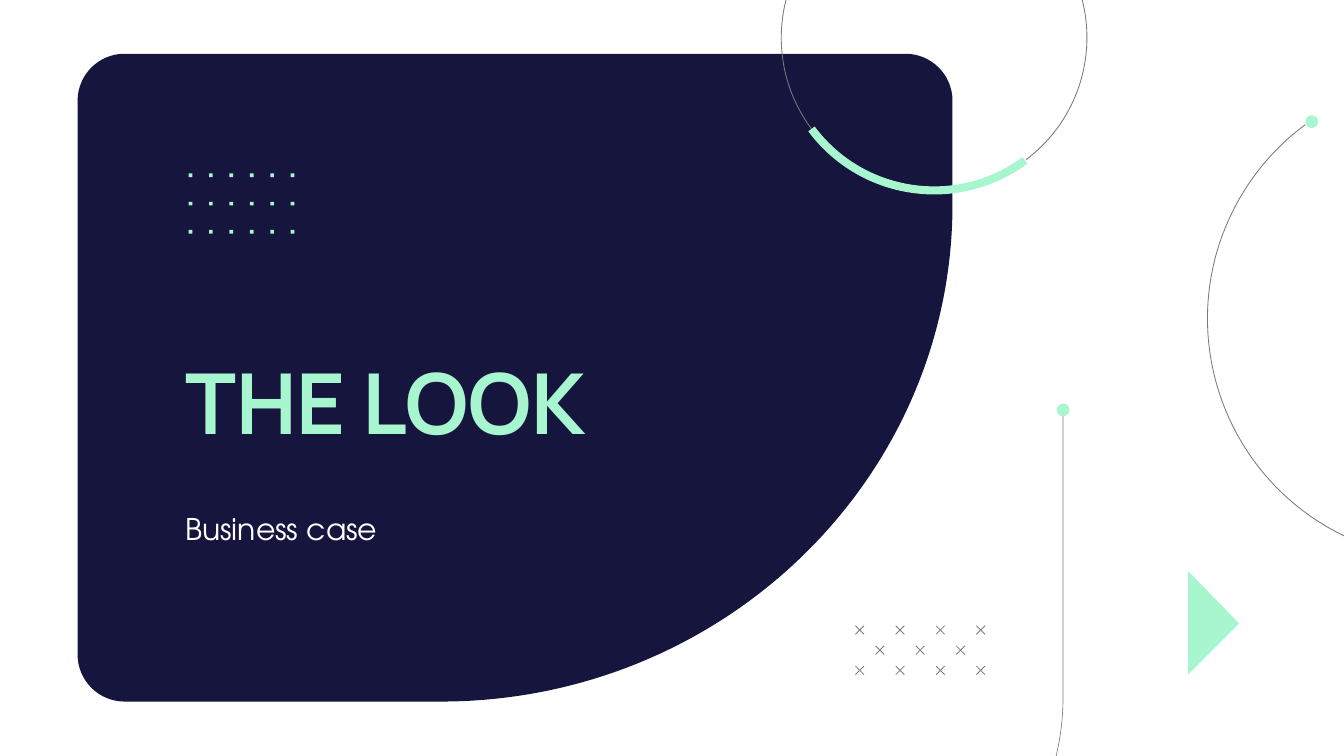
from dataclasses import dataclass
from itertools import chain, product
from math import ceil, cos, radians, sin, tan

from lxml.etree import SubElement
from pptx import Presentation
from pptx.dml.color import RGBColor
from pptx.enum.shapes import MSO_CONNECTOR as Link, MSO_SHAPE as Kind
from pptx.enum.text import MSO_ANCHOR as Anchor
from pptx.oxml.ns import qn
from pptx.util import Inches, Pt

CELL = Inches(0.1)  # grid unit: the slide is 100 columns wide
COLS, ROWS = 100, 56.25


@dataclass(frozen=True)
class Theme:
    navy: RGBColor = RGBColor.from_string("15153E")
    mint: RGBColor = RGBColor.from_string("A7F6CF")
    grey: RGBColor = RGBColor.from_string("7A7A7A")
    white: RGBColor = RGBColor.from_string("FFFFFF")
    head: str = "Manrope"
    body: str = "TeX Gyre Adventor"
    big: float = 45
    small: float = 16
    thin: float = 0.35
    fine: float = 0.44


LOOK = Theme()


def grid(*cells):
    return [round(n * CELL) for n in cells]


def apply(item, form):
    for name, value in form.items():
        setattr(item, name, value)


def line(*points):
    return [(p,) for p in points]


def arc(x, y, rx, ry, start, end):
    """A start point, then Bezier curves; degrees clockwise from the right."""
    count = ceil(abs(end - start) / 90)
    step = radians(end - start) / count
    pull = 4 / 3 * tan(step / 4)

    def spot(turn, lean=0):
        return (x + rx * (cos(turn) - lean * sin(turn)),
                y + ry * (sin(turn) + lean * cos(turn)))

    steps = line(spot(radians(start)))
    for i in range(count):
        a = radians(start) + i * step
        b = a + step
        steps.append((spot(a, pull), spot(b, -pull), spot(b)))
    return steps


def paint(shape, fill=None, edge=None, width=LOOK.fine):
    shape.shadow.inherit = False
    if fill is None:
        shape.fill.background()
    else:
        shape.fill.solid()
        shape.fill.fore_color.rgb = fill
    if edge is None:
        shape.line.fill.background()
    else:
        shape.line.color.rgb = edge
        shape.line.width = Pt(width)


def trace(slide, steps, close=False, **style):
    """Draw steps of one point as lines and steps of three as curves."""
    dots = [tuple(grid(*p)) for p in chain.from_iterable(steps)]
    pen = slide.shapes.build_freeform(*dots[0])
    pen.add_line_segments(dots[1:], close=close)
    shape = pen.convert_to_shape()
    parts = iter(list(shape._element.iter(qn("a:lnTo"))))
    for step in steps[1:]:
        nodes = [next(parts) for _ in step]
        if len(nodes) == 3:
            curve = nodes[0].getparent().makeelement(qn("a:cubicBezTo"))
            nodes[0].addprevious(curve)
            for node in nodes:
                curve.append(node[0])
                node.getparent().remove(node)
    paint(shape, **style)


def mark(slide, kind, x, y, size):
    """A small mint shape centred on a point."""
    box = grid(x - size / 2, y - size / 2, size, size)
    paint(slide.shapes.add_shape(kind, *box), fill=LOOK.mint)


def cross(slide, x, y, half=0.32):
    for tilt in (1, -1):
        ends = grid(x - half, y + tilt * half, x + half, y - tilt * half)
        bar = slide.shapes.add_connector(Link.STRAIGHT, *ends)
        bar.line.width = Pt(LOOK.fine)
        bar.line.color.rgb = LOOK.grey
        SubElement(bar._element.spPr, qn("a:effectLst"))


def label(slide, text, box, color, form, gaps):
    frame = slide.shapes.add_textbox(*grid(*box)).text_frame
    sides = ("left", "right", "top", "bottom")
    apply(frame, {f"margin_{s}": CELL for s in sides})
    apply(frame, {"word_wrap": True, "vertical_anchor": Anchor.TOP})
    para = frame.paragraphs[0]
    apply(para, gaps)
    run = para.add_run()
    run.text = text
    apply(run.font, form)
    run.font.color.rgb = color


def panel(slide):
    left, top, right, low = 5.77, 4, 70.87, 52.2
    r, wide, tall = 3.5, 38.1, 37
    steps = (
        arc(left + r, top + r, r, r, 180, 270)
        + arc(right - r, top + r, r, r, 270, 360)
        + arc(right - wide, low - tall, wide, tall, 0, 90)
        + arc(left + r, low - r, r, r, 90, 180)
    )
    trace(slide, steps, close=True, fill=LOOK.navy)


def ring(slide):
    x, y, r = 69.5, 2.8, 11.37
    trace(slide, arc(x, y, r, r, 143, 413), edge=LOOK.grey)
    band = arc(x, y, r + 0.3, r + 0.3, 143.3, 53.5)
    band += arc(x, y, r - 0.3, r - 0.3, 53.5, 143.3)
    trace(slide, band, close=True, fill=LOOK.mint)


def curves(slide):
    x, top, bend = 79.1, 30.5, 51.9
    tail = arc(37.3, bend, x - 37.3, 27.7, 0, 90)
    trace(slide, line((x, top)) + tail + line((24.1, 79.6)),
          edge=LOOK.grey, width=LOOK.thin)
    mark(slide, Kind.OVAL, x, top, 0.95)
    for start, end in ((200.9, 233.5), (-36.6, 200.9)):
        trace(slide, arc(107.8, 23.7, 17.95, 17.95, start, end),
              edge=LOOK.grey)
    mark(slide, Kind.OVAL, 97.6, 9.05, 0.95)


def marks(slide):
    for col, row in product(range(6), range(3)):
        mark(slide, Kind.RECTANGLE, 14.17 + 1.52 * col, 13.05 + 2.1 * row, 0.28)
    for row, count in enumerate((4, 3, 4)):
        for col in range(count):
            cross(slide, 63.97 + 3 * col + 1.5 * (row % 2), 46.88 + 1.5 * row)


def main():
    deck = Presentation()
    deck.slide_width, deck.slide_height = grid(COLS, ROWS)
    slide = deck.slides.add_slide(deck.slide_layouts[6])
    panel(slide)
    trace(slide, line((88.4, 50.2), (92.2, 46.4), (88.4, 42.5)),
          close=True, fill=LOOK.mint)
    marks(slide)
    curves(slide)
    ring(slide)
    label(slide, "THE LOOK", (12.8, 25.1, 46.7, 11.9), LOOK.mint,
          {"name": LOOK.head, "size": Pt(LOOK.big), "bold": True},
          {"space_before": Pt(11), "space_after": Pt(2)})
    label(slide, "Business case", (12.8, 37, 27.1, 7.3), LOOK.white,
          {"name": LOOK.body, "size": Pt(LOOK.small)}, {})
    deck.save("out.pptx")


if __name__ == "__main__":
    main()
